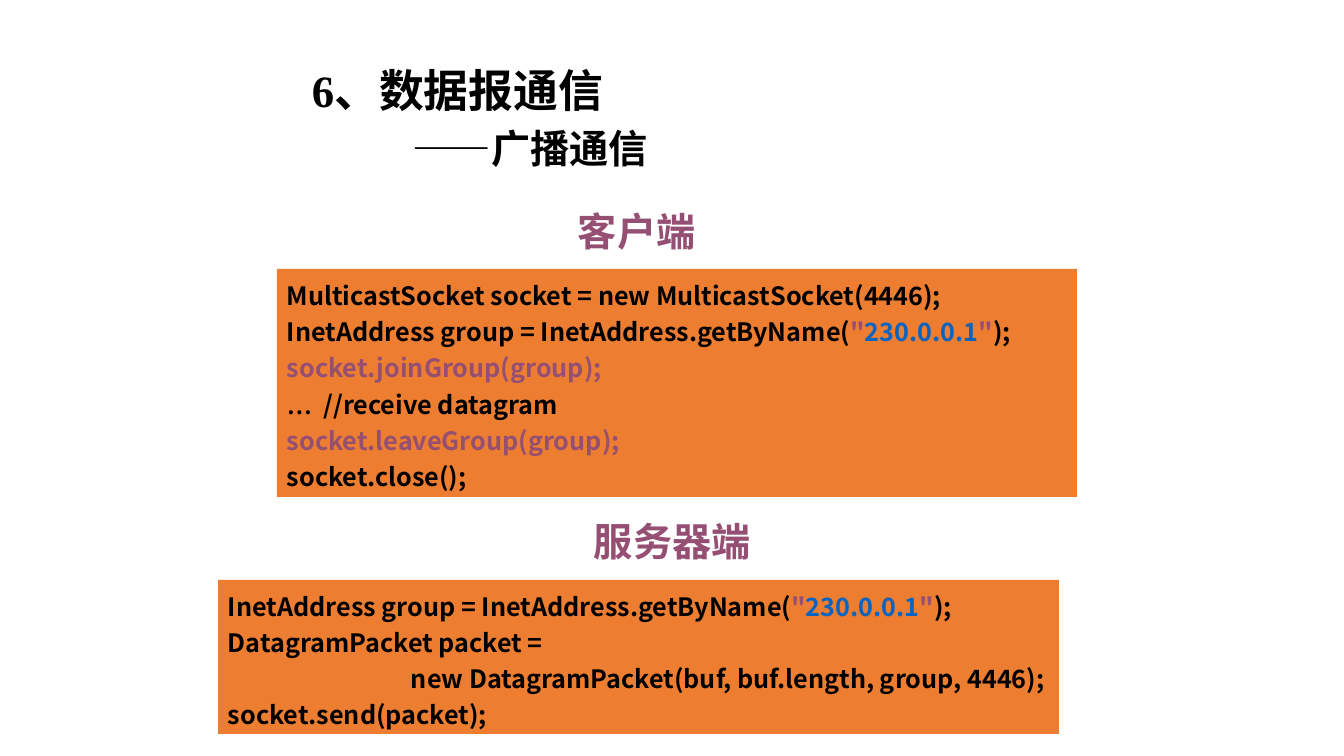
from pptx import Presentation
from pptx.dml.color import RGBColor
from pptx.enum.shapes import MSO_SHAPE
from pptx.enum.text import MSO_ANCHOR, PP_ALIGN
from pptx.util import Pt

PIXEL = 9071
BLACK = RGBColor(0x00, 0x00, 0x00)
ORANGE = RGBColor(0xED, 0x7D, 0x31)
PURPLE = RGBColor(0x95, 0x4F, 0x72)
BLUE = RGBColor(0x05, 0x63, 0xC1)
SANS = "Noto Sans CJK SC"
SERIF = "Times New Roman"


def add_box(shapes, place, filled=False):
    area = [value * PIXEL for value in place]
    if filled:
        box = shapes.add_shape(MSO_SHAPE.RECTANGLE, *area)
        box.shadow.inherit = False
        box.fill.solid()
        box.fill.fore_color.rgb = ORANGE
        box.line.fill.background()
    else:
        box = shapes.add_textbox(*area)
    box.text_frame.word_wrap = filled
    box.text_frame.vertical_anchor = MSO_ANCHOR.TOP
    return box.text_frame


def add_line(frame, index, spans, size, name):
    para = frame.paragraphs[0] if index == 0 else frame.add_paragraph()
    para.alignment = PP_ALIGN.LEFT
    para.font.size = Pt(size)
    para.font.bold = True
    para.font.name = name
    for text, color in spans:
        span = para.add_run()
        span.text = text
        span.font.color.rgb = color
    return para


deck = Presentation()
deck.slide_width = 1344 * PIXEL
deck.slide_height = 756 * PIXEL
page = deck.slides.add_slide(deck.slide_layouts[6])

title = add_box(page.shapes, (302, 58, 357, 120))
for index, (text, size, indent) in enumerate([("6、数据报通信", 32, 0), ("——广播通信", 28, 101)]):
    para = add_line(title, index, [(text, BLACK)], size, SERIF)
    para.space_before = Pt(size * 0.2)
    para._p.get_or_add_pPr().set("marL", str(indent * PIXEL))

address_line = [
    ("InetAddress group = InetAddress.getByName(", BLACK),
    ('"', PURPLE),
    ("230.0.0.1", BLUE),
    ('"', PURPLE),
    (");", BLACK),
]
client_code = [
    [("MulticastSocket socket = new MulticastSocket(4446);", BLACK)],
    address_line,
    [("socket.joinGroup(group);", PURPLE)],
    [("…", BLACK), ("  //receive datagram", BLACK)],
    [("socket.leaveGroup(group);", PURPLE)],
    [("socket.close();", BLACK)],
]
server_code = [
    address_line,
    [("DatagramPacket packet =", BLACK)],
    [("new DatagramPacket(buf, buf.length, group, 4446);", BLACK)],
    [("socket.send(packet);", BLACK)],
]

for place, code in [((277, 269, 800, 228), client_code), ((218, 580, 841, 154), server_code)]:
    frame = add_box(page.shapes, place, filled=True)
    for index, spans in enumerate(code):
        para = add_line(frame, index, spans, 18, SANS)
        para.line_spacing = 1.2
        if spans[0][0] == "…":
            para.runs[0].font.name = SERIF
        if spans[0][0].startswith("new "):
            para._p.get_or_add_pPr().set("marL", str(183 * PIXEL))

for place, heading in [((568, 202, 138, 57), "客户端"), ((584, 512, 177, 57), "服务器端")]:
    add_line(add_box(page.shapes, place), 0, [(heading, PURPLE)], 28, SANS)

deck.save("out.pptx")
